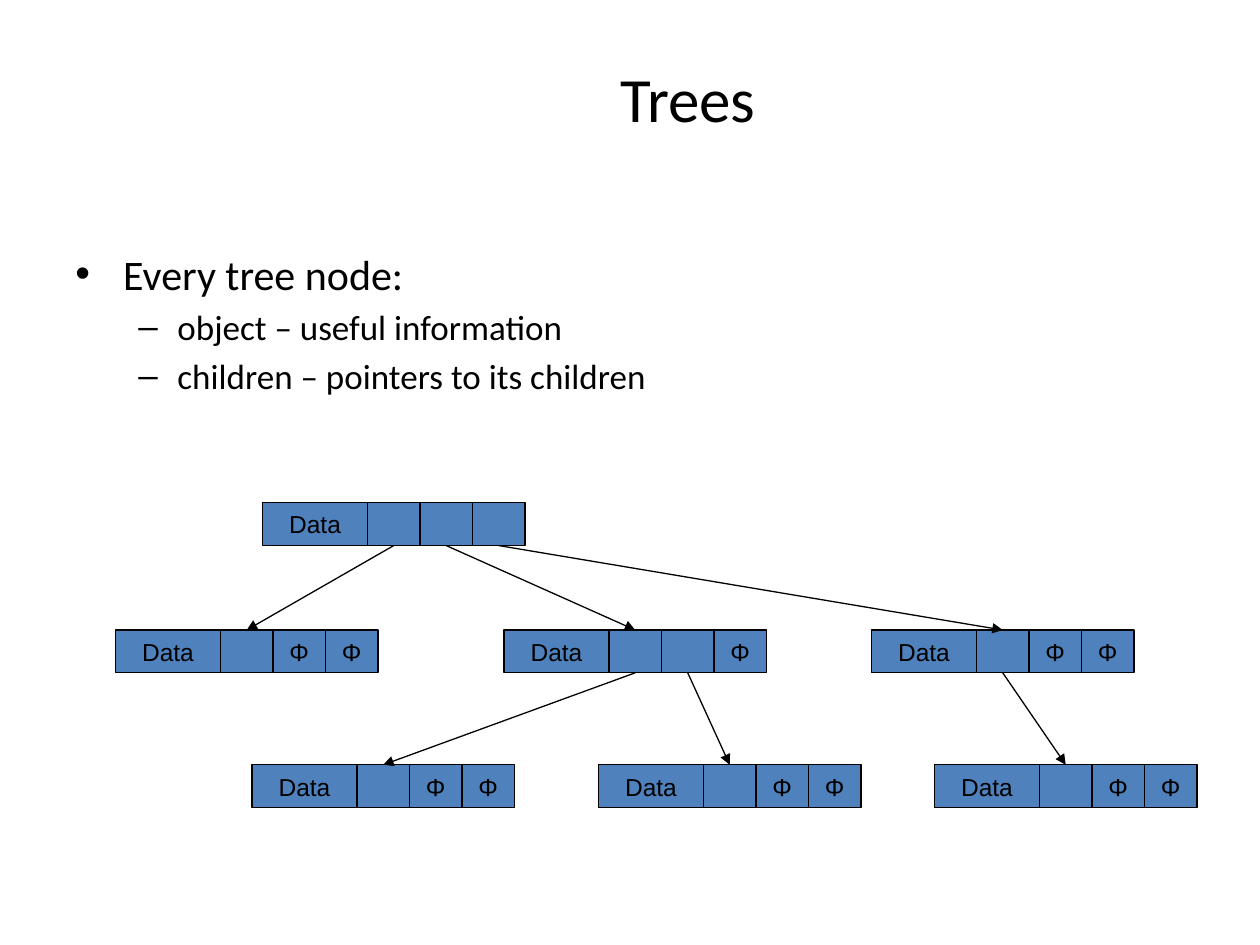
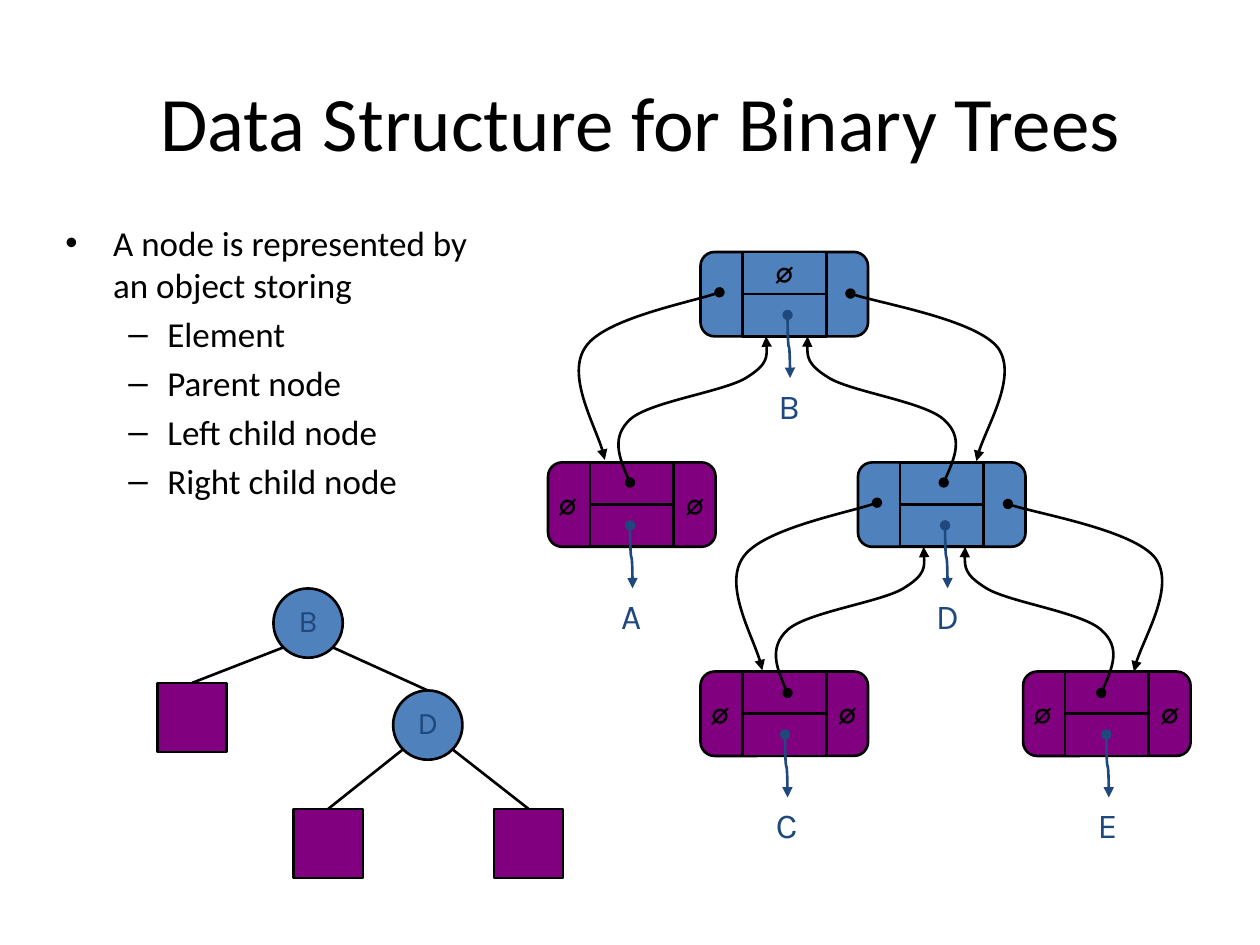
from dataclasses import dataclass
from typing import Optional

from lxml import etree
from pptx import Presentation
from pptx.dml.color import RGBColor
from pptx.enum.shapes import MSO_CONNECTOR, MSO_SHAPE
from pptx.enum.text import MSO_ANCHOR, PP_ALIGN
from pptx.oxml.ns import qn
from pptx.util import Emu, Inches, Pt

BLACK = RGBColor(0x00, 0x00, 0x00)
BLUE = RGBColor(0x4F, 0x81, 0xBD)
NAVY = RGBColor(0x1F, 0x49, 0x7D)
PURPLE = RGBColor(0x80, 0x00, 0x80)

RECTANGLE, ROUNDED, OVAL = MSO_SHAPE.RECTANGLE, MSO_SHAPE.ROUNDED_RECTANGLE, MSO_SHAPE.OVAL
STRAIGHT, CURVE = MSO_CONNECTOR.STRAIGHT, MSO_CONNECTOR.CURVE
CENTER, LEFT = PP_ALIGN.CENTER, PP_ALIGN.LEFT
MIDDLE, TOP = MSO_ANCHOR.MIDDLE, MSO_ANCHOR.TOP
TOP_SITE, BOTTOM_SITE = 0, 2

TEXT_FONT, CELL_FONT, NODE_FONT = "Calibri", "Arial", "Karla"
THIN, THICK = Pt(0.75), Pt(1.5)
NULL = "∅"

# Pointer cells: the data cell is two units wide, each pointer cell one
UNIT = Inches(5 / 12)
CELL_HEIGHT = Inches(0.34)

# Linked node boxes and the small tree's marks
NODE_WIDTH, NODE_HEIGHT = Inches(1.33), Inches(0.67)
NULL_SIZE = Inches(0.43)
MARK_SIZE = Inches(0.55)

# Curves between a parent and its children, in inches from the parent's corner
LINK_CURVES = [
    [(-0.56, 1.83), (-0.64, 1.65), (-0.71, 1.47), (-0.56, 1.33), (-0.41, 1.19),
     (0.18, 1.11), (0.36, 1), (0.54, 0.89), (0.53, 0.78), (0.52, 0.67)],
    [(1.93, 1.83), (2.01, 1.65), (2.09, 1.47), (1.93, 1.33), (1.78, 1.19),
     (1.2, 1.11), (1.02, 1), (0.84, 0.89), (0.84, 0.78), (0.85, 0.67)],
    [(0.15, 0.32), (-0.03, 0.39), (-0.76, 0.53), (-0.91, 0.75),
     (-1.07, 0.97), (-0.79, 1.46), (-0.76, 1.65)],
    [(1.19, 0.33), (1.38, 0.4), (2.19, 0.54), (2.36, 0.76),
     (2.52, 0.98), (2.22, 1.47), (2.19, 1.66)],
]


@dataclass
class Record:
    left_units: float
    top: float
    pointers: str
    parent: Optional[int] = None
    parent_cell: int = 0


@dataclass
class LinkedNode:
    letter: str
    left: float
    top: float
    pointer_x: float
    is_leaf: bool = True


@dataclass
class Mark:
    left: float
    top: float
    letter: str = ""
    parent: Optional[int] = None
    side: int = 0


RECORDS = [
    Record(5, 3.99, "   "),
    Record(2.2, 5, " ΦΦ", 0, 1),
    Record(9.6, 5, "  Φ", 0, 2),
    Record(16.6, 5, " ΦΦ", 0, 3),
    Record(4.8, 6.07, " ΦΦ", 2, 1),
    Record(11.4, 6.07, " ΦΦ", 2, 2),
    Record(17.8, 6.07, " ΦΦ", 3, 1),
]
LINKED_NODES = [
    LinkedNode("B", 5.56, 2, 6.25, False),
    LinkedNode("A", 4.35, 3.67, 5),
    LinkedNode("D", 6.81, 3.67, 7.5, False),
    LinkedNode("C", 5.56, 5.33, 6.23),
    LinkedNode("E", 8.12, 5.33, 8.78),
]
# Lettered marks are inner nodes, the others leaves
MARKS = [
    Mark(2.17, 4.67, "B"),
    Mark(3.12, 5.48, "D", 0, 1),
    Mark(1.25, 5.42, parent=0, side=-1),
    Mark(2.33, 6.42, parent=1, side=-1),
    Mark(3.92, 6.42, parent=1, side=1),
]


def style_paragraph(paragraph, font_name: str, size: int, color=BLACK, align=CENTER, bold=False) -> None:
    paragraph.alignment = align
    font = paragraph.font
    font.name, font.size, font.bold = font_name, Pt(size), bold
    font.color.rgb = color


def add_text(slide, left, top, width, height, text: str, font_name: str, size: int,
             color=BLACK, anchor=TOP, wrap=False, bold=False) -> None:
    frame = slide.shapes.add_textbox(left, top, width, height).text_frame
    frame.word_wrap = wrap
    frame.vertical_anchor = anchor
    frame.text = text
    style_paragraph(frame.paragraphs[0], font_name, size, color, bold=bold)


def add_title(slide, left, top, width, height, text: str, size: int) -> None:
    add_text(slide, left, top, width, height, text, TEXT_FONT, size, anchor=MIDDLE, wrap=True)


def add_outline(slide, left, top, width, height, heading: str, heading_size: int, items: list[str]) -> None:
    """A bulleted heading followed by dashed items."""
    frame = slide.shapes.add_textbox(left, top, width, height).text_frame
    frame.word_wrap = True
    for index, text in enumerate([heading, *items]):
        paragraph = frame.add_paragraph() if index else frame.paragraphs[0]
        paragraph.text = text
        margin, indent, bullet = (0.81, -0.31, "–") if index else (0.38, -0.38, "•")
        properties = paragraph._p.get_or_add_pPr()
        properties.set("marL", str(Inches(margin)))
        properties.set("indent", str(Inches(indent)))
        etree.SubElement(properties, qn("a:buFont")).set("typeface", "Arial")
        etree.SubElement(properties, qn("a:buChar")).set("char", bullet)
        if index:
            paragraph.level = 1
            paragraph.space_before = Pt(4)
        style_paragraph(paragraph, TEXT_FONT, 20 if index else heading_size, align=LEFT)


def add_box(slide, kind, left, top, width, height, fill, line_width):
    shape = slide.shapes.add_shape(kind, left, top, width, height)
    shape.shadow.inherit = False
    shape.fill.solid()
    shape.fill.fore_color.rgb = fill
    shape.line.color.rgb = BLACK
    shape.line.width = line_width
    return shape


def style_line(shape, color, width, head: str = "", tail: str = "") -> None:
    shape.line.color.rgb = color
    shape.line.width = width
    line = shape.line._get_or_add_ln()
    for tag, arrow in (("a:headEnd", head), ("a:tailEnd", tail)):
        if arrow:
            etree.SubElement(line, qn(tag)).set("type", arrow)


def add_line(slide, kind, start, end, color=BLACK, width=THICK, head: str = "", tail: str = ""):
    connector = slide.shapes.add_connector(kind, *start, *end)
    style_line(connector, color, width, head, tail)
    etree.SubElement(connector._element.spPr, qn("a:effectLst"))
    return connector


def add_link_curve(slide, points: list) -> None:
    """Bezier outline: a start point, then three points for each segment."""
    builder = slide.shapes.build_freeform(*points[0], scale=1.0)
    builder.add_line_segments(points[1:], close=False)
    shape = builder.convert_to_shape()
    outline = shape._element.find(".//" + qn("a:path"))
    segments = outline.findall(qn("a:lnTo"))
    for first in range(0, len(segments), 3):
        curve = etree.SubElement(outline, qn("a:cubicBezTo"))
        for segment in segments[first:first + 3]:
            curve.append(segment[0])
            outline.remove(segment)
    shape.shadow.inherit = False
    shape.fill.background()
    style_line(shape, BLACK, THICK, "oval", "triangle")


def add_record(slide, record: Record) -> list:
    """A data cell followed by pointer cells; returns all of them."""
    cells = []
    left = Emu(round(record.left_units * UNIT))
    for text in ["Data", *record.pointers]:
        width = UNIT if cells else 2 * UNIT
        cell = add_box(slide, RECTANGLE, left, Inches(record.top), width, CELL_HEIGHT, BLUE, THIN)
        if text.strip():
            cell.text_frame.text = text
            style_paragraph(cell.text_frame.paragraphs[0], CELL_FONT, 14)
        cells.append(cell)
        left += width
    return cells


def add_null(slide, left, top) -> None:
    add_text(slide, left, top, NULL_SIZE, NULL_SIZE, NULL, NODE_FONT, 20, bold=True)


def add_linked_node(slide, node: LinkedNode) -> None:
    left, top = Inches(node.left), Inches(node.top)
    fill = PURPLE if node.is_leaf else BLUE
    box = add_box(slide, ROUNDED, left, top, NODE_WIDTH, NODE_HEIGHT, fill, THICK)
    box.adjustments[0] = 0.167
    inner_left = left + NODE_WIDTH // 4
    add_box(slide, RECTANGLE, inner_left, top, NODE_WIDTH // 2, NODE_HEIGHT, fill, THICK)
    middle = top + NODE_HEIGHT // 2
    add_line(slide, STRAIGHT, (inner_left, middle), (inner_left + NODE_WIDTH // 2, middle))
    if node.is_leaf:
        for offset in (-0.06, 0.95):
            add_null(slide, left + Inches(offset), top + Inches(0.11))

    # Element pointer: a sideways curve turned upright about its centre
    center_x = Inches(node.pointer_x + 0.01)
    center_y = top + Inches(0.75)
    half_length, half_shift = Inches(0.25), Inches(0.01)
    pointer = add_line(slide, CURVE, (center_x + half_length, center_y - half_shift),
                       (center_x - half_length, center_y + half_shift), NAVY, THICK, "oval", "triangle")
    pointer._element.spPr.find(qn("a:xfrm")).set("rot", str(270 * 60000))
    add_text(slide, center_x - Inches(0.18), top + Inches(1), Inches(0.36), Inches(0.43),
             node.letter, NODE_FONT, 20, NAVY)


def add_mark(slide, mark: Mark):
    kind, fill = (OVAL, BLUE) if mark.letter else (RECTANGLE, PURPLE)
    shape = add_box(slide, kind, Inches(mark.left), Inches(mark.top), MARK_SIZE, MARK_SIZE, fill, THICK)
    if mark.letter:
        frame = shape.text_frame
        frame.word_wrap = False
        frame.vertical_anchor = MIDDLE
        frame.margin_left = frame.margin_right = frame.margin_top = 0
        frame.text = mark.letter
        style_paragraph(frame.paragraphs[0], NODE_FONT, 18, NAVY)
    return shape


def build_trees(slide) -> None:
    add_title(slide, Inches(1.21), Inches(0.25), Inches(8.5), Inches(1.04), "Trees", 36)
    add_outline(slide, Inches(0.5), Inches(1.92), Inches(9), Inches(4.25), "Every tree node:", 24,
                ["object – useful information", "children – pointers to its children"])
    cells = [add_record(slide, record) for record in RECORDS]
    for record, own_cells in zip(RECORDS, cells):
        if record.parent is not None:
            arrow = add_line(slide, STRAIGHT, (0, 0), (0, 0), width=THIN, tail="triangle")
            arrow.begin_connect(cells[record.parent][record.parent_cell], BOTTOM_SITE)
            arrow.end_connect(own_cells[1], TOP_SITE)


def build_binary_trees(slide) -> None:
    add_title(slide, Inches(0.67), Inches(0.33), Inches(8.83), Inches(1.25),
              "Data Structure for Binary Trees", 44)
    add_outline(slide, Inches(0.42), Inches(1.71), Inches(3.67), Inches(2.51),
                "A node is represented by an object storing", 20,
                ["Element", "Parent node", "Left child node", "Right child node"])

    # Small tree
    shapes = [add_mark(slide, mark) for mark in MARKS]
    for mark, shape in zip(MARKS, shapes):
        if mark.parent is not None:
            parent = shapes[mark.parent]
            start = (Emu(parent.left + MARK_SIZE // 2 + mark.side * Inches(0.2)),
                     Emu(parent.top + Inches(0.47)))
            add_line(slide, STRAIGHT, start, start).end_connect(shape, TOP_SITE)

    # Linked nodes, then the curves over them
    for node in LINKED_NODES:
        add_linked_node(slide, node)
    for node in LINKED_NODES:
        if not node.is_leaf:
            for curve in LINK_CURVES:
                add_link_curve(slide, [(Inches(node.left + x), Inches(node.top + y)) for x, y in curve])
    root = LINKED_NODES[0]
    add_null(slide, Inches(root.left + 0.45), Inches(root.top - 0.06))


def main() -> None:
    presentation = Presentation()
    presentation.slide_width, presentation.slide_height = Inches(10), Inches(7.5)
    blank = presentation.slide_layouts[6]
    for build in (build_trees, build_binary_trees):
        build(presentation.slides.add_slide(blank))
    presentation.save("out.pptx")


if __name__ == "__main__":
    main()
